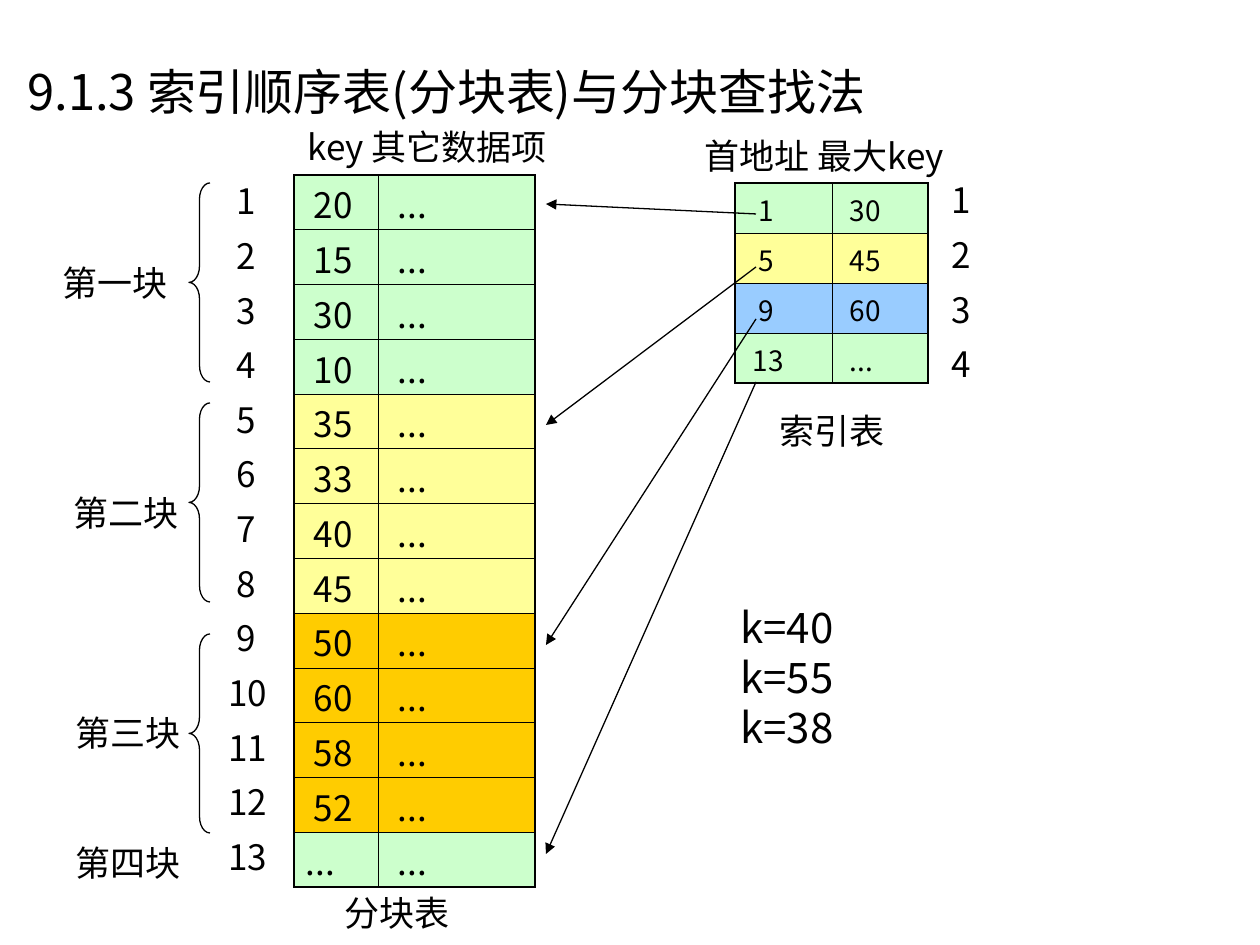
from dataclasses import dataclass
from typing import Optional

from lxml.etree import SubElement
from pptx import Presentation
from pptx.dml.color import RGBColor
from pptx.enum.shapes import MSO_CONNECTOR, MSO_SHAPE
from pptx.enum.text import MSO_AUTO_SIZE
from pptx.oxml.ns import qn
from pptx.util import Emu, Pt

EMU_PER_PX = 914400 / 126


@dataclass(frozen=True)
class Theme:
    font: str = "Noto Sans CJK SC"
    black: RGBColor = RGBColor(0, 0, 0)
    green: RGBColor = RGBColor(0xCC, 0xFF, 0xCC)
    yellow: RGBColor = RGBColor(0xFF, 0xFF, 0x99)
    orange: RGBColor = RGBColor(0xFF, 0xCC, 0x00)
    blue: RGBColor = RGBColor(0x99, 0xCC, 0xFF)
    title: int = 28
    example: int = 24
    body: int = 20
    index: int = 16
    thin: float = 0.45
    thick: float = 1.08
    stroke: float = 0.75


THEME = Theme()


@dataclass(frozen=True)
class Line:
    text: str
    indent: int = 0


@dataclass(frozen=True)
class Label:
    left: int
    top: int
    width: int
    height: int
    lines: tuple[Line, ...]
    size: int = THEME.body
    spacing: Optional[float] = None


@dataclass(frozen=True)
class Row:
    cells: tuple[Line, Line]
    fill: RGBColor


@dataclass(frozen=True)
class Grid:
    left: int
    top: int
    height: int
    columns: tuple[int, int]
    rows: tuple[Row, ...]
    size: int
    margin_top: int


@dataclass(frozen=True)
class Arrow:
    start_y: int
    end_y: int


def px(length: float) -> Emu:
    return Emu(round(length * EMU_PER_PX))


def apply_format(target: object, values: dict) -> None:
    for name, value in values.items():
        setattr(target, name, value)


def write_line(paragraph, line: Line, size: int) -> None:
    if line.indent:
        paragraph._p.get_or_add_pPr().set("marL", str(px(line.indent)))
    run = paragraph.add_run()
    run.text = line.text
    apply_format(run.font, {"name": THEME.font, "size": Pt(size)})
    run.font.color.rgb = THEME.black
    SubElement(run._r.get_or_add_rPr(), qn("a:ea"), typeface=THEME.font)


def draw_label(slide, label: Label) -> None:
    box = slide.shapes.add_textbox(px(label.left), px(label.top), px(label.width), px(label.height))
    frame = box.text_frame
    apply_format(frame, {"word_wrap": False, "auto_size": MSO_AUTO_SIZE.SHAPE_TO_FIT_TEXT})
    for number, line in enumerate(label.lines):
        paragraph = frame.add_paragraph() if number else frame.paragraphs[0]
        paragraph.line_spacing = label.spacing
        write_line(paragraph, line, label.size)


def set_borders(cell, thick_sides: set[str]) -> None:
    properties = cell._tc.get_or_add_tcPr()
    for position, side in enumerate(("L", "R", "T", "B")):
        width = THEME.thick if side in thick_sides else THEME.thin
        border = properties.makeelement(qn(f"a:ln{side}"), {"w": str(Pt(width))})
        fill = SubElement(border, qn("a:solidFill"))
        SubElement(fill, qn("a:srgbClr"), val=str(THEME.black))
        properties.insert(position, border)


def draw_grid(slide, grid: Grid) -> None:
    count = len(grid.rows)
    shape = slide.shapes.add_table(count, len(grid.columns), px(grid.left), px(grid.top),
                                   px(sum(grid.columns)), px(grid.height))
    table = shape.table
    apply_format(table, {"first_row": False, "horz_banding": False})
    for column, width in zip(table.columns, grid.columns):
        column.width = px(width)
    for row_number, row in enumerate(grid.rows):
        table.rows[row_number].height = px(grid.height / count)
        for column_number, line in enumerate(row.cells):
            cell = table.cell(row_number, column_number)
            apply_format(cell, {"margin_left": px(12), "margin_right": px(12),
                                "margin_top": px(grid.margin_top), "margin_bottom": px(0)})
            write_line(cell.text_frame.paragraphs[0], line, grid.size)
            cell.fill.solid()
            cell.fill.fore_color.rgb = row.fill
            thick_sides = {"R" if column_number else "L"}
            if row_number == 0:
                thick_sides.add("T")
            if row_number == count - 1:
                thick_sides.add("B")
            set_borders(cell, thick_sides)


def set_stroke(shape) -> None:
    shape.line.color.rgb = THEME.black
    shape.line.width = Pt(THEME.stroke)


def draw_arrow(slide, arrow: Arrow) -> None:
    connector = slide.shapes.add_connector(MSO_CONNECTOR.STRAIGHT, px(756), px(arrow.start_y),
                                           px(546), px(arrow.end_y))
    set_stroke(connector)
    SubElement(connector.line._get_or_add_ln(), qn("a:tailEnd"), type="triangle")
    SubElement(connector._element.spPr, qn("a:effectLst"))


def draw_brace(slide, top: int) -> None:
    brace = slide.shapes.add_shape(MSO_SHAPE.LEFT_BRACE, px(189), px(top), px(21), px(199))
    brace.shadow.inherit = False
    brace.fill.background()
    brace.adjustments[0] = 0.78
    set_stroke(brace)


def numbers(last: int) -> tuple[Line, ...]:
    return tuple(Line(str(n), 8 if n < 10 else 0) for n in range(1, last + 1))


# Block table: four records per block, then the start of the fourth block
BLOCKS = ((THEME.green, (20, 15, 30, 10)), (THEME.yellow, (35, 33, 40, 45)),
          (THEME.orange, (50, 60, 58, 52)))
RECORDS = tuple(Row((Line(str(key), 8), Line("...", 8)), color)
                for color, keys in BLOCKS for key in keys)
LAST_RECORD = Row((Line("..."), Line("...", 8)), THEME.green)

# Index table: first address and largest key of each block
INDEX = (Row((Line("1", 12), Line("30", 6)), THEME.green),
         Row((Line("5", 12), Line("45", 6)), THEME.yellow),
         Row((Line("9", 12), Line("60", 6)), THEME.blue),
         Row((Line("13", 6), Line("...", 6)), THEME.green))

# The top margin leaves each row room for one full line of text
GRIDS = (Grid(294, 175, 712, (84, 157), RECORDS + (LAST_RECORD,), THEME.body, 3),
         Grid(735, 183, 200, (97, 96), INDEX, THEME.index, 6))

LABELS = (
    Label(15, 55, 1125, 73, (Line("9.1.3 索引顺序表(分块表)与分块查找法"),), THEME.title),
    Label(295, 119, 275, 55, (Line("key 其它数据项"),)),
    Label(692, 128, 273, 55, (Line("首地址 最大key"),)),
    Label(216, 161, 66, 723, numbers(13), spacing=1.3),
    Label(931, 160, 63, 232, numbers(4), spacing=1.3),
    Label(332, 885, 130, 55, (Line("分块表"),)),
    Label(767, 403, 130, 55, (Line("索引表"),)),
    Label(728, 595, 120, 164, (Line("k=40"), Line("k=55"), Line("k=38")), THEME.example),
    Label(50, 255, 130, 55, (Line("第一块"),)),
    Label(61, 485, 130, 55, (Line("第二块"),)),
    Label(63, 705, 130, 55, (Line("第三块"),)),
    Label(63, 835, 130, 55, (Line("第四块"),)),
)
ARROWS = (Arrow(214, 204), Arrow(267, 425), Arrow(319, 645), Arrow(382, 854))
BRACE_TOPS = (183, 403, 634)


def main() -> None:
    presentation = Presentation()
    apply_format(presentation, {"slide_width": px(1260), "slide_height": px(945)})
    slide = presentation.slides.add_slide(presentation.slide_layouts[6])
    for grid in GRIDS:
        draw_grid(slide, grid)
    for label in LABELS:
        draw_label(slide, label)
    for arrow in ARROWS:
        draw_arrow(slide, arrow)
    for top in BRACE_TOPS:
        draw_brace(slide, top)
    presentation.save("out.pptx")


if __name__ == "__main__":
    main()
